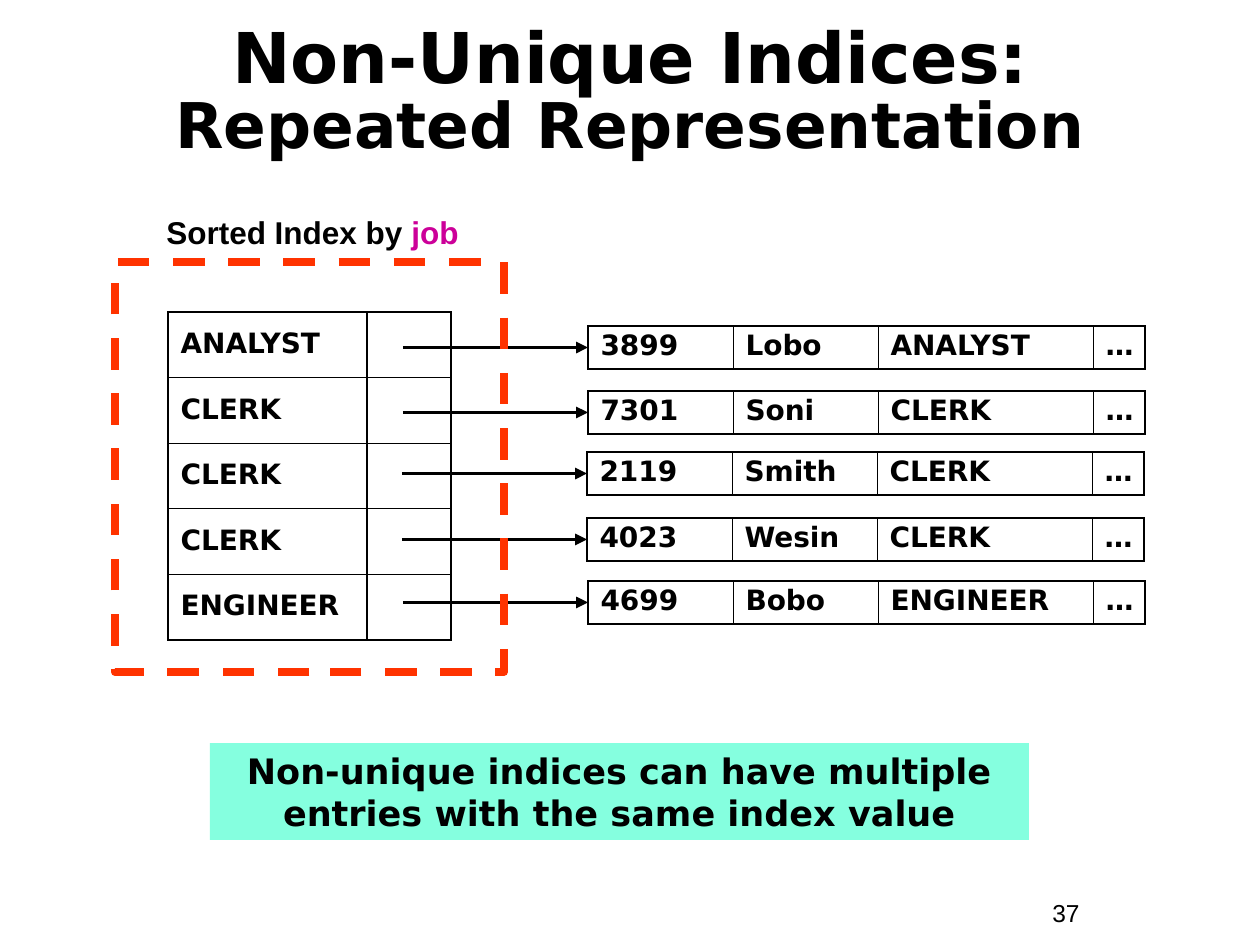
from lxml.etree import SubElement
from pptx import Presentation
from pptx.dml.color import RGBColor
from pptx.enum.dml import MSO_LINE
from pptx.enum.shapes import MSO_CONNECTOR, MSO_SHAPE
from pptx.enum.text import MSO_ANCHOR, MSO_AUTO_SIZE, PP_ALIGN
from pptx.oxml import parse_xml
from pptx.oxml.ns import nsdecls, qn
from pptx.util import Emu, Pt

BLACK, MAGENTA, RED, MINT = "000000", "CC0099", "FF3300", "85FFDF"
HEADING, PLAIN = "DejaVu Sans", "Arial"
OUTER, INNER = 1.08, 0.45
RECORD_WIDTHS = (145, 145, 215, 52)
RECORD_HEIGHT = 43
RECORDS = [
    (588, 326, ("3899", "Lobo", "ANALYST", "…")),
    (588, 391, ("7301", "Soni", "CLERK", "…")),
    (587, 452, ("2119", "Smith", "CLERK", "…")),
    (587, 518, ("4023", "Wesin", "CLERK", "…")),
    (588, 581, ("4699", "Bobo", "ENGINEER", "…")),
]


def px(length):
    """Convert pixels to EMU at 126 pixels to the inch."""
    return Emu(round(length * 914400 / 126))


def color(value):
    """Turn a hex string into a colour."""
    return RGBColor.from_string(value)


def add_run(paragraph, words, size, font=HEADING, ink=BLACK, bold=True):
    """Append one formatted run to a paragraph."""
    run = paragraph.add_run()
    run.text = words
    run.font.size = Pt(size)
    run.font.name = font
    run.font.bold = bold
    run.font.color.rgb = color(ink)


def set_borders(cell, widths):
    """Draw black cell borders from a side-to-points mapping."""
    properties = cell._tc.get_or_add_tcPr()
    for position, side in enumerate("LRTB"):
        border = parse_xml(
            f'<a:ln{side} {nsdecls("a")} w="{Pt(widths[side])}"><a:solidFill>'
            f'<a:srgbClr val="{BLACK}"/></a:solidFill></a:ln{side}>'
        )
        properties.insert(position, border)


def add_grid(slide, left, top, widths, height, rows, anchor, divider):
    """Place a ruled table whose rows share the given height."""
    grid = slide.shapes.add_table(
        len(rows), len(widths), px(left), px(top), px(sum(widths)), px(height)
    ).table
    grid.first_row = grid.horz_banding = False
    for column, width in zip(grid.columns, widths):
        column.width = px(width)
    for r, entries in enumerate(rows):
        grid.rows[r].height = px(height / len(rows))
        for c, entry in enumerate(entries):
            cell = grid.cell(r, c)
            cell.fill.background()
            cell.vertical_anchor = anchor
            set_borders(cell, {
                "L": OUTER if c == 0 else divider,
                "R": OUTER if c == len(widths) - 1 else divider,
                "T": OUTER if r == 0 else INNER,
                "B": OUTER if r == len(rows) - 1 else INNER,
            })
            if entry:
                paragraph = cell.text_frame.paragraphs[0]
                paragraph.line_spacing = 0.9
                add_run(paragraph, entry, 16)


def add_title(slide, left, top, width, height):
    """Fill the title placeholder with its two lines."""
    title = slide.shapes.title
    title.left, title.top, title.width, title.height = map(px, (left, top, width, height))
    frame = title.text_frame
    frame.auto_size = MSO_AUTO_SIZE.NONE
    frame.vertical_anchor = MSO_ANCHOR.MIDDLE
    paragraph = frame.paragraphs[0]
    paragraph.alignment = PP_ALIGN.CENTER
    paragraph.line_spacing = 0.85
    add_run(paragraph, "Non-Unique Indices:", 40)
    paragraph.add_line_break()
    add_run(paragraph, "Repeated Representation", 36)


def add_label(slide, left, top, width, height, runs):
    """Place a text box made of run argument tuples."""
    frame = slide.shapes.add_textbox(*map(px, (left, top, width, height))).text_frame
    frame.word_wrap = True
    for run in runs:
        add_run(frame.paragraphs[0], *run)


def add_pointer(slide, left, right, y):
    """Draw an arrow from an index entry to its record."""
    pointer = slide.shapes.add_connector(
        MSO_CONNECTOR.STRAIGHT, px(left), px(y), px(right), px(y)
    )
    pointer.line.color.rgb = color(BLACK)
    pointer.line.width = Pt(2.25)
    SubElement(pointer.line._get_or_add_ln(), qn("a:tailEnd"), type="triangle")
    SubElement(pointer._element.spPr, qn("a:effectLst"))


def add_record(slide, left, top, fields):
    """Place a record row and the arrow that reaches it."""
    add_grid(slide, left, top, RECORD_WIDTHS, RECORD_HEIGHT, [fields], MSO_ANCHOR.TOP, INNER)
    add_pointer(slide, left - 185, left, top + RECORD_HEIGHT / 2)


def add_banner(slide, left, top, width, height):
    """Place the filled conclusion box."""
    banner = slide.shapes.add_shape(MSO_SHAPE.RECTANGLE, *map(px, (left, top, width, height)))
    banner.shadow.inherit = False
    banner.fill.solid()
    banner.fill.fore_color.rgb = color(MINT)
    banner.line.fill.background()
    frame = banner.text_frame
    frame.word_wrap = True
    frame.vertical_anchor = MSO_ANCHOR.TOP
    paragraph = frame.paragraphs[0]
    paragraph.alignment = PP_ALIGN.CENTER
    add_run(paragraph, "Non-unique indices can have multiple entries with the same index value", 20)


def add_index_frame(slide, left, top, width, height):
    """Draw the dashed outline around the index."""
    outline = slide.shapes.add_shape(MSO_SHAPE.RECTANGLE, *map(px, (left, top, width, height)))
    outline.shadow.inherit = False
    outline.fill.background()
    outline.line.color.rgb = color(RED)
    outline.line.width = Pt(4.5)
    outline.line.dash_style = MSO_LINE.DASH


def main():
    """Build the slide and save it."""
    deck = Presentation()
    deck.slide_width, deck.slide_height = px(1260), px(945)
    slide = deck.slides.add_slide(deck.slide_layouts[5])
    add_label(slide, 1040, 892, 116, 43, [("37", 14, PLAIN, BLACK, False)])
    add_title(slide, 42, 10, 1176, 168)
    jobs = [(fields[2], "") for _, _, fields in RECORDS]
    add_grid(slide, 168, 312, (199, 84), 328, jobs, MSO_ANCHOR.MIDDLE, OUTER)
    add_label(slide, 154, 207, 325, 50, [
        ("Sorted Index by ", 18, PLAIN),
        ("job", 18, PLAIN, MAGENTA),
    ])
    for left, top, fields in RECORDS:
        add_record(slide, left, top, fields)
    add_banner(slide, 210, 743, 819, 97)
    add_index_frame(slide, 115, 262, 389, 410)
    deck.save("out.pptx")


if __name__ == "__main__":
    main()
